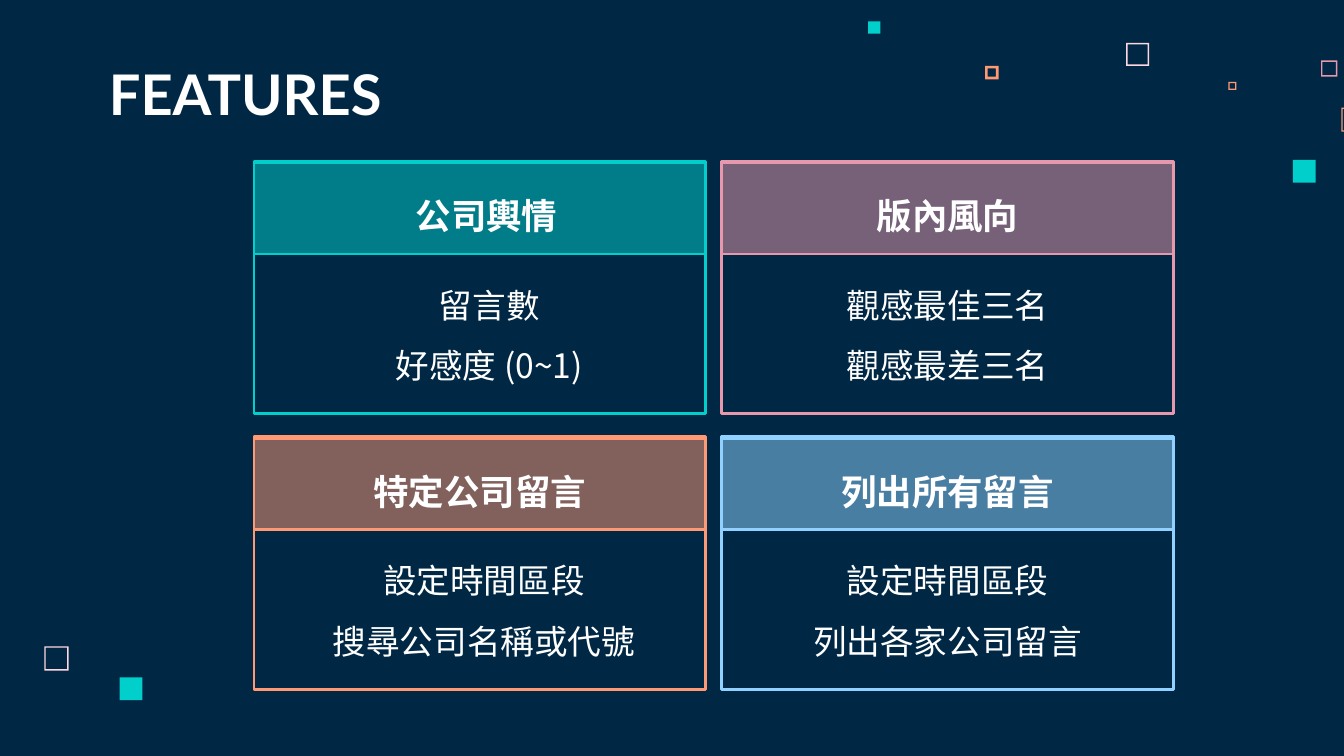
from dataclasses import dataclass

from lxml.etree import SubElement
from pptx import Presentation
from pptx.dml.color import RGBColor
from pptx.enum.shapes import MSO_SHAPE
from pptx.enum.text import MSO_ANCHOR, MSO_AUTO_SIZE, PP_ALIGN
from pptx.oxml.ns import qn
from pptx.shapes.autoshape import Shape
from pptx.slide import Slide
from pptx.text.text import _Paragraph as Paragraph
from pptx.util import Inches, Pt

COLORS = {
    "navy": "002845",
    "white": "FFFFFF",
    "teal": "00CFCC",
    "rose": "E898AC",
    "orange": "FF9973",
    "sky": "91D1FF",
    "blush": "FFD6E1",
}
TITLE_FONT = "Lato"
HEADING_FONT = "TeX Gyre Adventor"
BODY_FONT = "Noto Sans CJK SC"

CARD_LEFT, CARD_TOP = 1.89, 1.2
CARD_WIDTH, CARD_HEIGHT, HEADER_HEIGHT = 3.36, 1.88, 0.68
COLUMN_STEP, ROW_STEP = 3.48, 2.05
TEXT_WIDTH = 2.78


@dataclass(frozen=True)
class Square:
    left: float
    top: float
    size: float
    color: str
    hollow: bool = True
    border: float = 0.01


@dataclass(frozen=True)
class Card:
    heading: str
    lines: tuple[str, ...]
    color: str
    heading_shift: float = 0
    body_shift: float = 0


SQUARES = [
    Square(8.38, 0.32, 0.17, "blush"),
    Square(9.83, 0.45, 0.12, "rose"),
    Square(9.14, 0.61, 0.06, "orange"),
    Square(9.98, 0.8, 0.18, "orange"),
    Square(9.62, 1.19, 0.17, "teal", hollow=False),
    Square(7.33, 0.49, 0.1, "orange", border=0.02),
    Square(6.46, 0.16, 0.09, "teal", hollow=False),
    Square(0.33, 4.81, 0.18, "blush"),
    Square(0.89, 5.04, 0.17, "teal", hollow=False),
]

CARDS = [
    Card("公司輿情", ("留言數", "好感度 (0~1)"), "teal", 0.05, 0.07),
    Card("版內風向", ("觀感最佳三名", "觀感最差三名"), "rose"),
    Card("特定公司留言", ("設定時間區段", "搜尋公司名稱或代號"), "orange", 0, 0.03),
    Card("列出所有留言", ("設定時間區段", "列出各家公司留言"), "sky"),
]


def rgb(color: str) -> RGBColor:
    return RGBColor.from_string(COLORS[color])


def format_paragraph(paragraph: Paragraph, font_name: str, size: int, bold: bool) -> None:
    font = paragraph.font
    font.name = font_name
    font.size = Pt(size)
    font.bold = bold
    font.color.rgb = rgb("white")
    properties = paragraph._p.pPr.find(qn("a:defRPr"))
    SubElement(properties, qn("a:ea")).set("typeface", BODY_FONT)


def corners(left: float, top: float, size: float) -> list[tuple[int, int]]:
    right, bottom = left + size, top + size
    points = [(left, top), (left, bottom), (right, bottom), (right, top)]
    return [(Inches(x), Inches(y)) for x, y in points]


def draw_square(slide: Slide, square: Square) -> None:
    if square.hollow:
        outer = corners(square.left, square.top, square.size)
        inner = corners(
            square.left + square.border,
            square.top + square.border,
            square.size - 2 * square.border,
        )[::-1]
        builder = slide.shapes.build_freeform(*outer[0])
        builder.add_line_segments(outer[1:], close=True)
        builder.move_to(*inner[0])
        builder.add_line_segments(inner[1:], close=True)
        shape = builder.convert_to_shape()
    else:
        size = Inches(square.size)
        shape = slide.shapes.add_shape(
            MSO_SHAPE.RECTANGLE, Inches(square.left), Inches(square.top), size, size
        )
    shape.shadow.inherit = False
    shape.fill.solid()
    shape.fill.fore_color.rgb = rgb(square.color)
    shape.line.fill.background()


def draw_frame(slide: Slide, left: float, top: float, height: float, color: str) -> Shape:
    shape = slide.shapes.add_shape(
        MSO_SHAPE.RECTANGLE, Inches(left), Inches(top), Inches(CARD_WIDTH), Inches(height)
    )
    shape.shadow.inherit = False
    shape.fill.background()
    shape.line.color.rgb = rgb(color)
    shape.line.width = Pt(1.5)
    return shape


def draw_text(
    slide: Slide, center: float, top: float, height: float, lines: tuple[str, ...],
    font_name: str, size: int, spacing: float, bold: bool,
) -> None:
    box = slide.shapes.add_textbox(
        Inches(center - TEXT_WIDTH / 2), Inches(top), Inches(TEXT_WIDTH), Inches(height)
    )
    frame = box.text_frame
    frame.word_wrap = True
    frame.auto_size = MSO_AUTO_SIZE.SHAPE_TO_FIT_TEXT
    frame.text = "\n".join(lines)
    for paragraph in frame.paragraphs:
        paragraph.alignment = PP_ALIGN.CENTER
        paragraph.line_spacing = spacing
        format_paragraph(paragraph, font_name, size, bold)


def draw_card(slide: Slide, card: Card, left: float, top: float) -> None:
    draw_frame(slide, left, top, CARD_HEIGHT, card.color)
    header = draw_frame(slide, left, top + 0.01, HEADER_HEIGHT, card.color)
    header.fill.solid()
    header.fill.fore_color.rgb = rgb(card.color)
    fill_color = header.fill._xPr.find(qn("a:solidFill"))[0]
    SubElement(fill_color, qn("a:alpha")).set("val", "51000")

    center = left + CARD_WIDTH / 2
    draw_text(slide, center + card.body_shift, top + 0.72, 1.01, card.lines,
              BODY_FONT, 18, 1.5, False)
    draw_text(slide, center + card.heading_shift, top + 0.1, 0.48, (card.heading,),
              HEADING_FONT, 19, 1.3, True)


def draw_title(slide: Slide, text: str) -> None:
    title = slide.shapes.title
    title.left, title.top = Inches(0.71), Inches(0.41)
    title.width, title.height = Inches(6.44), Inches(0.63)
    frame = title.text_frame
    frame.text = text
    frame.auto_size = MSO_AUTO_SIZE.NONE
    frame.vertical_anchor = MSO_ANCHOR.BOTTOM
    frame.margin_left = frame.margin_right = Inches(0.1)
    frame.margin_top = frame.margin_bottom = Inches(0.1)
    paragraph = frame.paragraphs[0]
    paragraph.alignment = PP_ALIGN.LEFT
    format_paragraph(paragraph, TITLE_FONT, 30, True)


def main() -> None:
    presentation = Presentation()
    presentation.slide_width = Inches(10)
    presentation.slide_height = Inches(10) * 9 // 16
    slide = presentation.slides.add_slide(presentation.slide_layouts[5])
    slide.background.fill.solid()
    slide.background.fill.fore_color.rgb = rgb("navy")

    draw_title(slide, "FEATURES")
    for square in SQUARES:
        draw_square(slide, square)
    for index, card in enumerate(CARDS):
        row, column = divmod(index, 2)
        draw_card(slide, card, CARD_LEFT + column * COLUMN_STEP, CARD_TOP + row * ROW_STEP)

    presentation.save("out.pptx")


if __name__ == "__main__":
    main()
